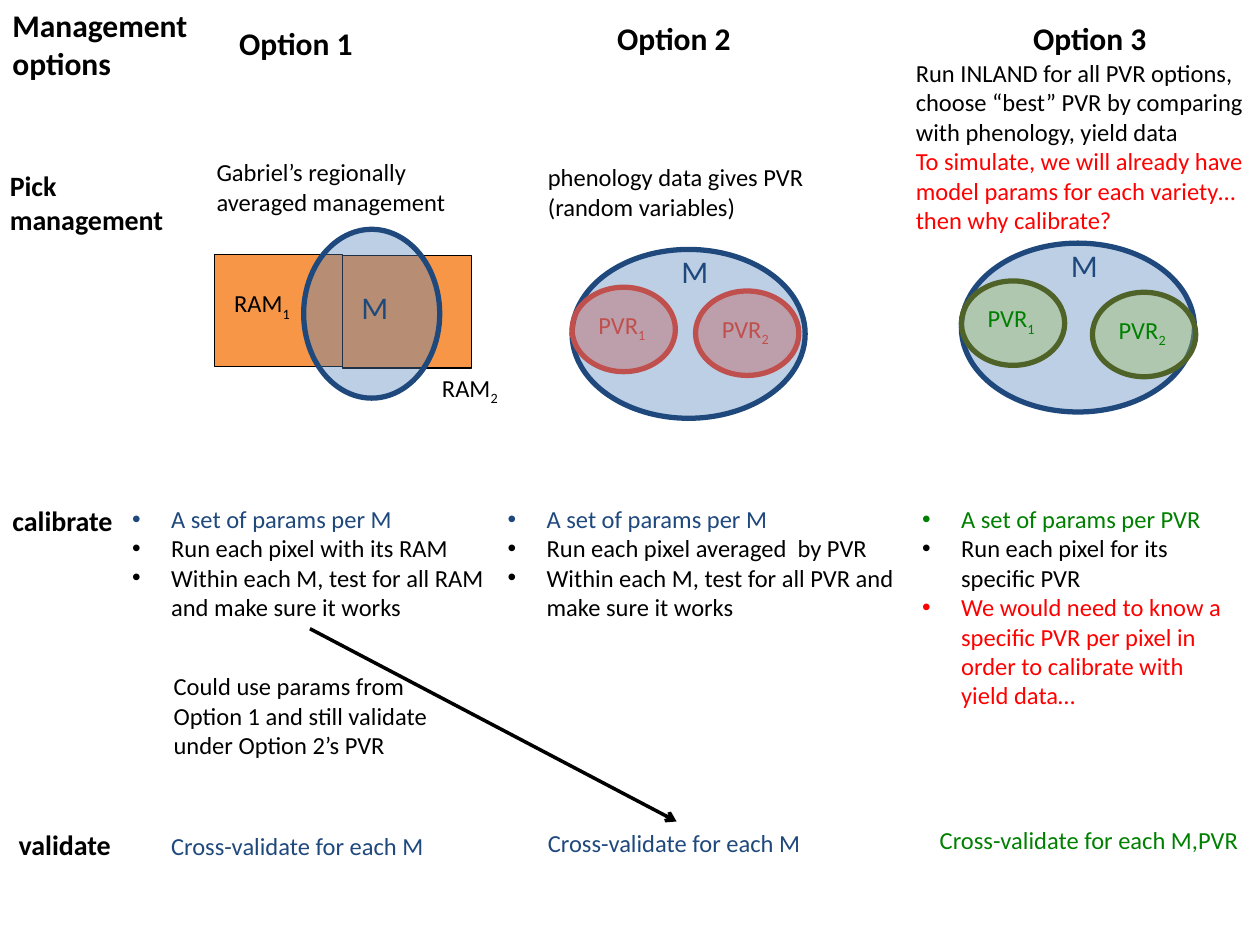
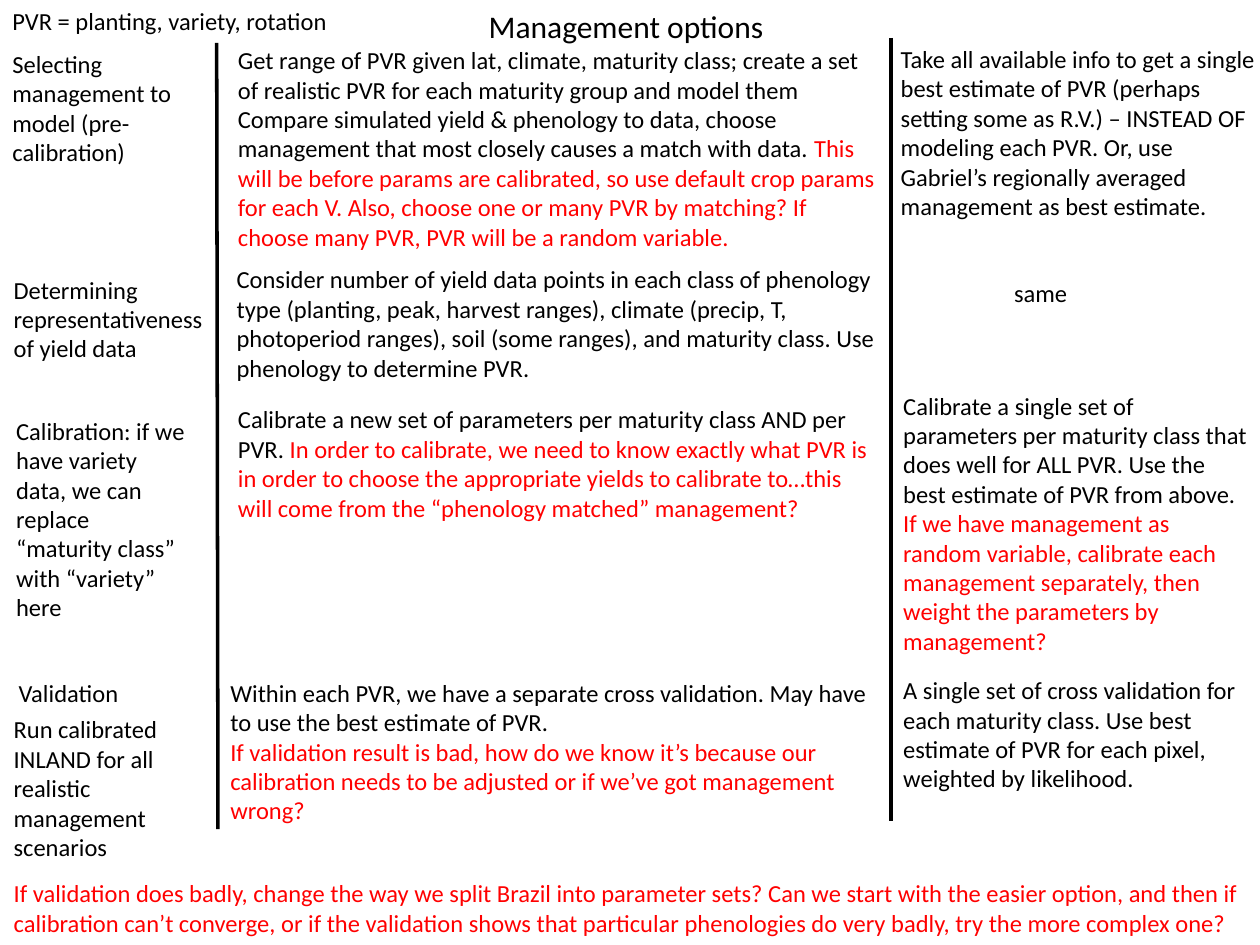
from lxml.etree import SubElement
from pptx import Presentation
from pptx.dml.color import RGBColor
from pptx.enum.shapes import MSO_CONNECTOR as CONN, MSO_SHAPE as SHAPE
from pptx.enum.text import MSO_AUTO_SIZE as FIT
from pptx.oxml.ns import qn
from pptx.util import Emu, Pt

PX = 9144  # 100 px to the inch
FONT = "Calibri"
BLACK, RED, NAVY, GREEN = "000000", "FF0000", "1F497D", "008000"
BLUE, BRICK, LIME, OLIVE, ORANGE = "4F81BD", "C0504D", "9BBB59", "4F6228", "F79646"
BODY, HEAD, ROW_HEAD = 14, 18, 16
INDENT = 31


def px(n):
    return Emu(n * PX)


def shift(x, y, at):
    """Move a box given relative to (x, y) onto the slide."""
    return x + at[0], y + at[1], at[2], at[3]


def rgb(color):
    return RGBColor.from_string(color)


def add_bullet(p):
    pPr = p._p.get_or_add_pPr()
    pPr.set("marL", str(px(INDENT)))
    pPr.set("indent", str(-px(INDENT)))
    SubElement(pPr, qn("a:buFont")).set("typeface", "Arial")
    SubElement(pPr, qn("a:buChar")).set("char", "•")


def add_run(p, text, color, size, bold=False, subscript=False):
    r = p.add_run()
    r.text = text
    r.font.name, r.font.size, r.font.bold = FONT, Pt(size), bold
    r.font.color.rgb = rgb(color)
    if subscript:
        r._r.get_or_add_rPr().set("baseline", "-25000")


def add_text(slide, at, paras, size=BODY, bold=False, bullets=False, wrap=True):
    """Each paragraph is a list of (text, color[, subscript]) runs."""
    sp = slide.shapes.add_textbox(*map(px, at))
    tf = sp.text_frame
    tf.word_wrap = wrap
    tf.auto_size = FIT.SHAPE_TO_FIT_TEXT
    for i, runs in enumerate(paras):
        p = tf.add_paragraph() if i else tf.paragraphs[0]
        if bullets:
            add_bullet(p)
        for text, color, *sub in runs:
            add_run(p, text, color, size, bold, bool(sub))
    return sp


def add_plain(slide, at, text, color=BLACK, **style):
    return add_text(slide, at, [[(text, color)]], **style)


def add_indexed(slide, x, y, w, name, index, color):
    add_text(slide, (x, y, w, 34), [[(name, color), (index, color, True)]], wrap=False)


def add_region(slide, kind, at, fill, line, width, alpha=None):
    sp = slide.shapes.add_shape(kind, *map(px, at))
    sp.shadow.inherit = False
    sp.fill.solid()
    sp.fill.fore_color.rgb = rgb(fill)
    sp.line.color.rgb = rgb(line)
    sp.line.width = Pt(width)
    if alpha:
        clr = sp._element.spPr.find(qn("a:solidFill"))[0]
        SubElement(clr, qn("a:alpha")).set("val", str(alpha * 1000))


def add_oval(slide, at, fill, line):
    add_region(slide, SHAPE.OVAL, at, fill, line, 3, alpha=38)


def add_line(slide, x1, y1, x2, y2):
    line = slide.shapes.add_connector(CONN.STRAIGHT, *map(px, (x1, y1, x2, y2)))
    line.line.color.rgb = rgb(BLACK)
    line.line.width = Pt(2)
    SubElement(line._element.spPr, qn("a:effectLst"))
    return line


def add_arrow(slide, start, end):
    """Arrow from the bottom of one box to the top of another."""
    arrow = add_line(slide, 0, 0, 1, 1)
    arrow.begin_connect(start, 2)
    arrow.end_connect(end, 0)
    ln = arrow.line._get_or_add_ln()
    SubElement(ln, qn("a:tailEnd")).set("type", "arrow")


def row_heads(slide):
    add_plain(slide, (0, 0, 175, 71), "Management options", size=HEAD, bold=True)
    for at, text in (((-2, 129, 146, 64), "Pick management"),
                     ((0, 395, 111, 37), "calibrate"),
                     ((5, 652, 103, 37), "validate")):
        add_plain(slide, at, text, size=ROW_HEAD, bold=True)


def ram_venn(slide, x, y):
    for dx, dy in ((0, 20), (102, 21)):
        add_region(slide, SHAPE.RECTANGLE, (x + dx, y + dy, 102, 89), ORANGE, BLACK, 0.75)
    add_oval(slide, (x + 71, y, 108, 134), BLUE, NAVY)
    add_indexed(slide, x + 6, y + 42, 66, "RAM", "1", BLACK)
    add_indexed(slide, x + 171, y + 109, 66, "RAM", "2", BLACK)
    add_plain(slide, (x + 107, y + 42, 42, 40), "M", NAVY, size=HEAD, wrap=False)


def pvr_venn(slide, x, y, second, fill, line, ink):
    """Two PVR ovals inside M; second is the offset of the PVR2 oval."""
    add_oval(slide, (x, y, 185, 134), BLUE, NAVY)
    add_plain(slide, (x + 77, y - 3, 42, 40), "M", NAVY, size=HEAD, wrap=False)
    for index, (dx, dy) in (("1", (0, 30)), ("2", second)):
        add_oval(slide, (x + dx, y + dy, 82, 67), fill, line)
        add_indexed(slide, x + dx + 11, y + dy + 13, 59, "PVR", index, ink)


def option_column(slide, x, y, title, pick, calibrate, validate):
    """Each part is (box relative to the column, content)."""
    def place(at):
        return shift(x, y, at)

    add_plain(slide, place((*title[0], 111, 40)), title[1], size=HEAD, bold=True, wrap=False)
    add_text(slide, place(pick[0]), pick[1])
    params = add_text(slide, place(calibrate[0]), calibrate[1], bullets=True)
    check = add_plain(slide, place(validate[0]), *validate[1], wrap=False)
    return params, check


def options_slide(slide):
    row_heads(slide)
    ram_venn(slide, 170, 182)
    pvr_venn(slide, 454, 198, (98, 33), BRICK, BRICK, BRICK)
    pvr_venn(slide, 763, 193, (104, 39), LIME, OLIVE, GREEN)
    per_m = [("A set of params per M", NAVY)]
    check_m = ("Cross-validate for each M", NAVY)
    params_1, _ = option_column(
        slide, 95, 0, ((85, 14), "Option 1"),
        ((67, 120, 229, 57), [[("Gabriel’s regionally averaged management", BLACK)]]),
        ((0, 395, 302, 104), [
            per_m,
            [("Run each pixel with its RAM", BLACK)],
            [("Within each M, test for all RAM and make sure it works", BLACK)]]),
        ((31, 655, 224, 34), check_m))
    _, check_2 = option_column(
        slide, 393, 0, ((87, 10), "Option 2"),
        ((32, 124, 254, 57), [[("phenology data gives PVR (random variables)", BLACK)]]),
        ((0, 395, 329, 104), [
            per_m,
            [("Run each pixel averaged  by PVR", BLACK)],
            [("Within each M, test for all PVR and make sure it works", BLACK)]]),
        ((32, 652, 224, 34), check_m))
    option_column(
        slide, 717, 0, ((93, 10), "Option 3"),
        ((0, 41, 280, 151), [
            [("Run INLAND for all PVR options, choose “best” PVR by comparing "
              "with phenology, yield data", BLACK)],
            [("To simulate, we will already have model params for each variety… "
              "then why calibrate?", RED)]]),
        ((5, 395, 267, 175), [
            [("A set of params per PVR", GREEN)],
            [("Run each pixel for its specific PVR", BLACK)],
            [("We would need to know a specific PVR per pixel in order to calibrate "
              "with yield data…", RED)]]),
        ((19, 650, 261, 34), ("Cross-validate for each M,PVR", GREEN)))
    add_arrow(slide, params_1, check_2)
    add_plain(slide, (128, 528, 240, 81),
              "Could use params from Option 1 and still validate under Option 2’s PVR")


def text_column(slide, x, y, cells):
    """Each cell is (box relative to the column, paragraphs)."""
    for at, paras in cells:
        add_text(slide, shift(x, y, at), paras)


def step_column(slide, x, y):
    text_column(slide, x, y, [
        ((0, 0, 186, 104), [[("Selecting management to model (pre-calibration)", BLACK)]]),
        ((1, 179, 180, 81), [[("Determining representativeness of yield data", BLACK)]]),
        ((3, 291, 157, 175), [[("Calibration: if we have variety data, we can replace "
                                "“maturity class” with “variety” here", BLACK)]]),
        ((5, 499, 101, 34), [[("Validation", BLACK)]]),
        ((1, 528, 160, 128), [[("Run calibrated INLAND for all realistic management "
                                "scenarios", BLACK)]])])


def per_pvr_column(slide, x, y):
    text_column(slide, x, y, [
        ((6, 0, 527, 175), [
            [("Get range of PVR given lat, climate, maturity class; create a set of "
              "realistic PVR for each maturity group and model them", BLACK)],
            [("Compare simulated yield & phenology to data, choose management that most "
              "closely causes a match with data. ", BLACK),
             ("This will be before params are calibrated, so use default crop params for "
              "each V. Also, choose one or many PVR by matching? If choose many PVR, PVR "
              "will be a random variable.", RED)]]),
        ((5, 174, 546, 104), [
            [("Consider number of yield data points in each class of phenology type "
              "(planting, peak, harvest ranges), climate (precip, T, photoperiod ranges), "
              "soil (some ranges), and maturity class. Use phenology to determine PVR.",
              BLACK)]]),
        ((6, 285, 525, 104), [
            [("Calibrate a new set of parameters per maturity class AND per PVR. ", BLACK),
             ("In order to calibrate, we need to know exactly what PVR is in order to "
              "choose the appropriate yields to calibrate to…this will come from the "
              "“phenology matched” management?", RED)]]),
        ((0, 502, 534, 128), [
            [("Within each PVR, we have a separate cross validation. May have to use the "
              "best estimate of PVR.", BLACK)],
            [("If validation result is bad, how do we know it’s because our calibration "
              "needs to be adjusted or if we’ve got management wrong?", RED)]])])


def single_estimate_column(slide, x, y):
    text_column(slide, x, y, [
        ((0, 0, 308, 151), [
            [("Take all available info to get a single best estimate of PVR (perhaps "
              "setting some as R.V.) – INSTEAD OF modeling each PVR. Or, use Gabriel’s "
              "regionally averaged management as best estimate.", BLACK)]]),
        ((90, 186, 63, 34), [[("same", BLACK)]]),
        ((2, 275, 293, 222), [
            [("Calibrate a single set of parameters per maturity class that does well for "
              "ALL PVR. Use the best estimate of PVR from above.", BLACK)],
            [("If we have management as random variable, calibrate each management "
              "separately, then weight the parameters by management?", RED)]]),
        ((2, 501, 291, 104), [
            [("A single set of cross validation for each maturity class. Use best estimate "
              "of PVR for each pixel, weighted by likelihood.", BLACK)]])])


def comparison_slide(slide):
    add_plain(slide, (378, 1, 241, 40), "Management options", size=HEAD, wrap=False)
    add_plain(slide, (0, 0, 274, 34), "PVR = planting, variety, rotation", wrap=False)
    add_line(slide, 172, 34, 173, 658)
    add_line(slide, 707, 30, 707, 652)
    step_column(slide, 0, 34)
    per_pvr_column(slide, 173, 31)
    single_estimate_column(slide, 705, 30)
    add_plain(slide, (1, 692, 999, 57),
              "If validation does badly, change the way we split Brazil into parameter sets? "
              "Can we start with the easier option, and then if calibration can’t converge, "
              "or if the validation shows that particular phenologies do very badly, try the "
              "more complex one?", RED)


def main():
    prs = Presentation()
    prs.slide_width, prs.slide_height = px(1000), px(750)
    for build in (options_slide, comparison_slide):
        build(prs.slides.add_slide(prs.slide_layouts[6]))
    prs.save("out.pptx")


if __name__ == "__main__":
    main()
